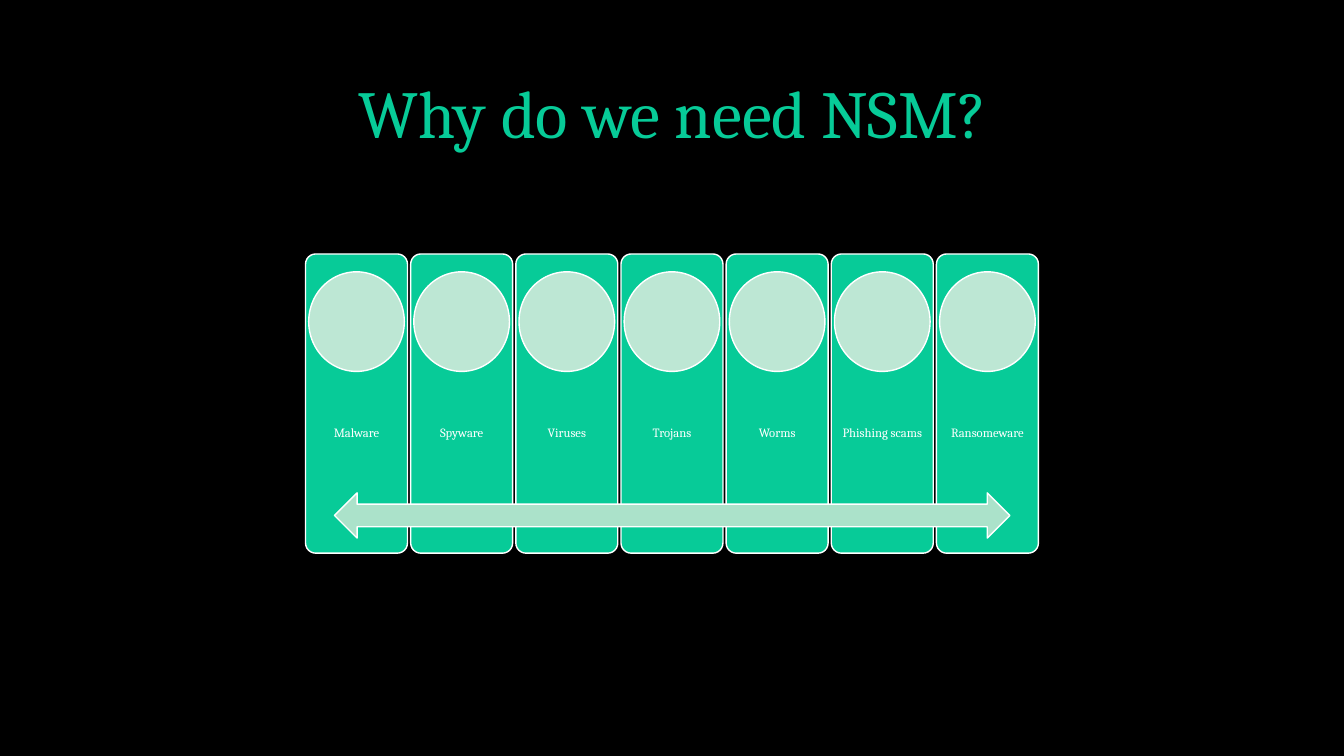
from pptx import Presentation
from pptx.dml.color import RGBColor
from pptx.enum.shapes import MSO_SHAPE as Kind
from pptx.enum.text import MSO_ANCHOR as Anchor, MSO_AUTO_SIZE as Fit, PP_ALIGN as Align
from pptx.util import Cm, Pt

TITLE = "Why do we need NSM?"
THREATS = ["Malware", "Spyware", "Viruses", "Trojans", "Worms", "Phishing scams", "Ransomeware"]
GREEN, PALE, MINT, WHITE, BLACK = "07CB98", "BDE7D4", "ABE2CA", "FFFFFF", "000000"
LEFT, TOP, STEP = 7.7, 6.4, 2.65
WIDE, TALL = 2.57, 7.54
DISC_W, DISC_H = 2.41, 2.51
INSET = Cm(0.18)
FRAME = {"word_wrap": True, "auto_size": Fit.NONE}
LABEL = {"vertical_anchor": Anchor.MIDDLE, "margin_left": INSET, "margin_right": INSET,
         "margin_top": INSET, "margin_bottom": INSET}
HEAD = {"vertical_anchor": Anchor.BOTTOM}


def paint(part, tone):
    part.rgb = RGBColor.from_string(tone)


def place(*sides):
    return [Cm(side) for side in sides]


def draw(kind, tone, *sides):
    shape = slide.shapes.add_shape(kind, *place(*sides))
    shape.shadow.inherit = False
    shape.fill.solid()
    paint(shape.fill.fore_color, tone)
    paint(shape.line.color, WHITE)
    shape.line.width = Pt(1)
    return shape


def write(frame, text, size, tone, extra):
    frame.text = text
    for name, value in {**FRAME, **extra}.items():
        setattr(frame, name, value)
    para = frame.paragraphs[0]
    for name, value in {"alignment": Align.CENTER, "line_spacing": 0.9}.items():
        setattr(para, name, value)
    font = para.runs[0].font
    for name, value in {"name": "Cambria", "size": Pt(size)}.items():
        setattr(font, name, value)
    paint(font.color, tone)


deck = Presentation()
deck.slide_width, deck.slide_height = place(33.87, 19.05)
slide = deck.slides.add_slide(deck.slide_layouts[5])
slide.background.fill.solid()
paint(slide.background.fill.fore_color, BLACK)

title = slide.shapes.title
title.left, title.top, title.width, title.height = place(3.61, 1.02, 26.67, 2.97)
write(title.text_frame, TITLE, 48, GREEN, HEAD)

for spot, threat in enumerate(THREATS):
    left = LEFT + spot * STEP
    card = draw(Kind.ROUNDED_RECTANGLE, GREEN, left, TOP, WIDE, TALL)
    card.adjustments[0] = 0.1
    label = slide.shapes.add_textbox(*place(left, TOP + TALL * 0.4, WIDE, TALL * 0.4))
    write(label.text_frame, threat, 9, WHITE, LABEL)
    draw(Kind.OVAL, PALE, left + (WIDE - DISC_W) / 2, TOP + 0.45, DISC_W, DISC_H)

draw(Kind.LEFT_RIGHT_ARROW, MINT, 8.43, 12.42, 17.02, 1.14)

deck.save("out.pptx")
